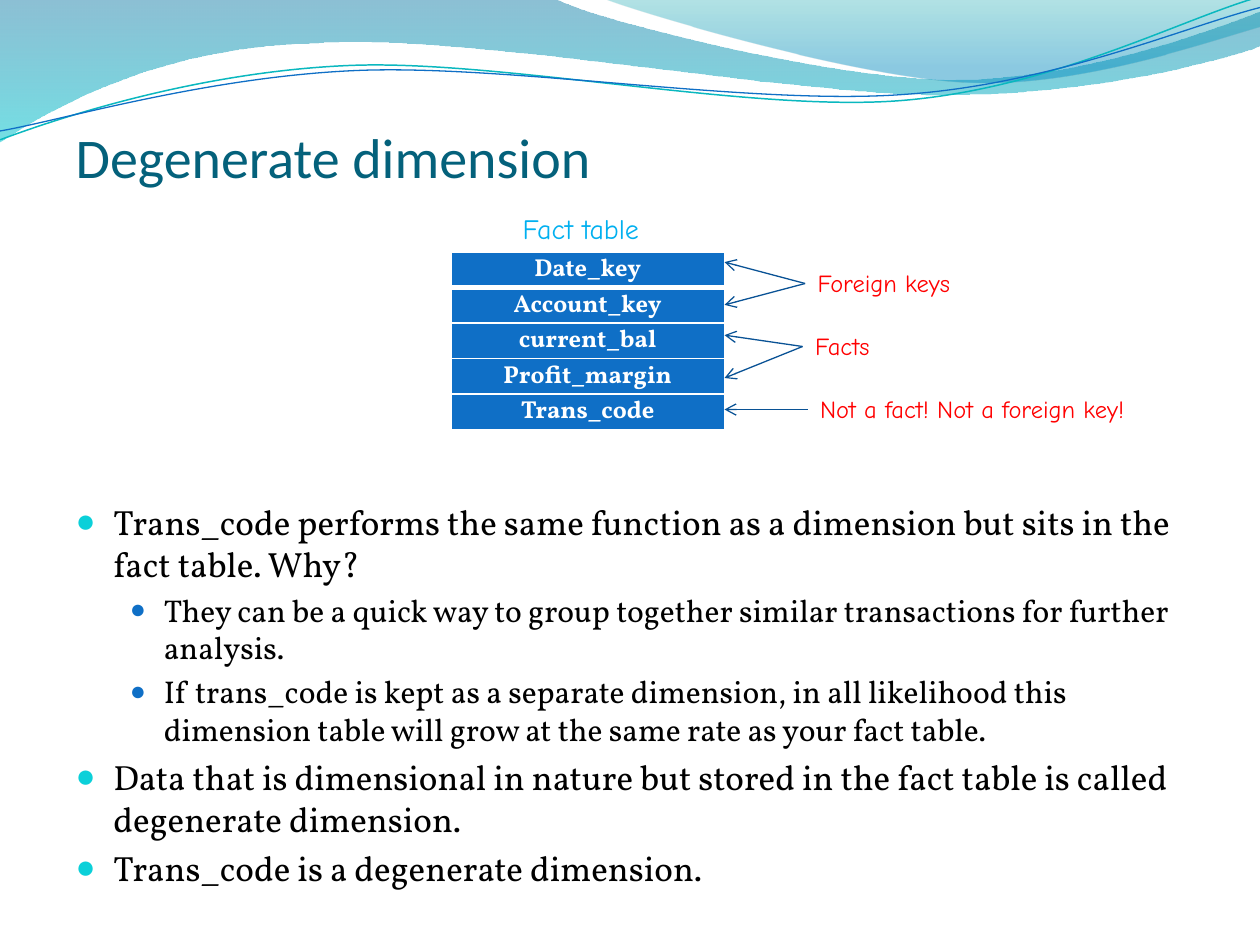
from math import cos, radians, sin

from lxml.etree import SubElement
from pptx import Presentation
from pptx.dml.color import RGBColor
from pptx.enum.text import MSO_ANCHOR, MSO_AUTO_SIZE, PP_ALIGN
from pptx.oxml.ns import qn
from pptx.util import Inches, Pt

BLUE = RGBColor(0x0F, 0x6F, 0xC6)
TEAL = RGBColor(0x0A, 0xB8, 0xBF)
CYAN = RGBColor(0x0B, 0xD0, 0xD9)
TITLE_TEAL = RGBColor(0x04, 0x61, 0x7B)
SKY = RGBColor(0x00, 0xB0, 0xF0)
RED = RGBColor(0xFF, 0x00, 0x00)
ARROW_BLUE = RGBColor(0x09, 0x52, 0x95)
WHITE = RGBColor(0xFF, 0xFF, 0xFF)
BLACK = RGBColor(0, 0, 0)
SERIF, HAND = "Vollkorn", "Comic Neue"

TITLE = "Degenerate dimension"
POINTS = [
    (0, "Trans_code performs the same function as a dimension but sits in the fact table. Why?"),
    (1, "They can be a quick way to group together similar transactions for further analysis."),
    (1, "If trans_code is kept as a separate dimension, in all likelihood this dimension table "
        "will grow at the same rate as your fact table."),
    (0, "Data that is dimensional in nature but stored in the fact table is called degenerate dimension."),
    (0, "Trans_code is a degenerate dimension."),
]
LEVELS = [
    dict(size=20, left=0.3, hang=0.3, color=CYAN, percent=95),
    dict(size=18, left=0.7, hang=0.27, color=BLUE, percent=85),
]
FIELDS = ["Date_key", "Account_key", "current_bal", "Profit_margin", "Trans_code"]
TABLE_LEFT, TABLE_TOP, TABLE_WIDTH, ROW_HEIGHT = 3.58, 2, 2.17, 0.27
CAPTION = ("Fact table", 4.05, 1.63, 1.28, 0.37, 16, SKY)
NOTES = [
    ("Foreign keys", 6.39, 2.25, 1.36, [2.08, 2.42]),
    ("Facts", 6.37, 2.75, 0.71, [2.66, 3]),
    ("Not a fact! Not a foreign key!", 6.41, 3.25, 2.92, [3.25]),
]
NOTE_HEIGHT = 0.34

BANDS = [
    ([(0, 0), (4.4, -0.01),
      (4.76, 0.17, 6.64, 0.63, 7.58, 0.63), (8.53, 0.63, 9.58, 0.26, 10, 0.09), (10.01, 0.36),
      (9.83, 0.44, 8.7, 0.76, 7.46, 0.75), (6.22, 0.75, 3.82, 0.28, 2.57, 0.34),
      (1.29, 0.36, 0.46, 0.83, -0.01, 1.13)],
     [(0, RGBColor(0x00, 0x74, 0xA1), 45), (1, RGBColor(0x00, 0xC6, 0xCF), 55)]),
    ([(4.79, -0.01), (5.09, 0.11, 6.82, 0.62, 7.69, 0.65),
      (8.56, 0.69, 9.61, 0.32, 10, 0.21), (10, 0)],
     [(0, RGBColor(0x00, 0xA1, 0xA9), 30), (0.8, RGBColor(0x00, 0x8B, 0xBF), 45)]),
]
WAVES = [
    ([(0, 1.11), (0.48, 0.93, 1.58, 0.57, 2.77, 0.52), (3.95, 0.47, 5.93, 0.89, 7.13, 0.8),
      (8.33, 0.71, 9.38, 0.15, 9.98, -0.02)], (4.99, 0.58), TEAL, 0.85),
    ([(0, 1.04), (0.47, 0.96, 1.64, 0.61, 2.83, 0.56), (4.03, 0.51, 5.97, 0.84, 7.17, 0.75),
      (8.36, 0.67, 9.41, 0.21, 10, 0.06)], (5, 0.59), BLUE, 0.75),
]
WAVE_TILT = 2.7


def style(paragraph, size, font, color, bold=False):
    for run in paragraph.runs:
        run.font.size, run.font.name, run.font.bold = Pt(size), font, bold
        run.font.color.rgb = color


def place(shape, *box):
    shape.left, shape.top, shape.width, shape.height = map(Inches, box)


def pairs(segment):
    return list(zip(segment[::2], segment[1::2]))


def level_out(segments, center):
    c, s = cos(radians(WAVE_TILT)), sin(radians(WAVE_TILT))
    cx, cy = center
    return [
        tuple(value for x, y in pairs(segment) for value in
              (cx + (x - cx) * c - (y - cy) * s, cy + (x - cx) * s + (y - cy) * c))
        for segment in segments]


def add_outline(shapes, segments, close):
    first, *anchors = [tuple(map(Inches, segment[-2:])) for segment in segments]
    builder = shapes.build_freeform(*first)
    builder.add_line_segments(anchors, close=close)
    outline = builder.convert_to_shape()
    outline.shadow.inherit = False
    steps = list(outline._element.spPr.iter(qn("a:lnTo")))
    for step, segment in zip(steps, segments[1:]):
        if len(segment) == 6:
            step.tag = qn("a:cubicBezTo")
            for point in list(step):
                step.remove(point)
            for x, y in pairs(segment):
                SubElement(step, qn("a:pt"), x=str(Inches(x) - outline.left),
                           y=str(Inches(y) - outline.top))
    return outline


def add_label(text, left, top, width, height, size, color):
    label = slide.shapes.add_textbox(*map(Inches, (left, top, width, height)))
    label.text_frame.text = text
    label.text_frame.word_wrap = False
    label.text_frame.auto_size = MSO_AUTO_SIZE.SHAPE_TO_FIT_TEXT
    style(label.text_frame.paragraphs[0], size, HAND, color)


def add_arrow(*ends):
    arrow = slide.shapes.add_connector(1, *map(Inches, ends))
    arrow.line.color.rgb, arrow.line.width = ARROW_BLUE, Pt(0.75)
    SubElement(arrow.line._get_or_add_ln(), qn("a:tailEnd"), type="arrow")
    SubElement(arrow._element.spPr, qn("a:effectLst"))


def add_border(cell, side, width):
    border = SubElement(cell._tc.get_or_add_tcPr(), qn("a:" + side), w=str(Pt(width)))
    fill = SubElement(border, qn("a:solidFill"))
    SubElement(fill, qn("a:srgbClr"), val=str(WHITE))


def add_bullet(paragraph, level):
    pPr = paragraph._p.get_or_add_pPr()
    pPr.set("marL", str(Inches(level["left"])))
    pPr.set("indent", str(-Inches(level["hang"])))
    color = SubElement(pPr, qn("a:buClr"))
    SubElement(color, qn("a:srgbClr"), val=str(level["color"]))
    SubElement(pPr, qn("a:buSzPct"), val=str(level["percent"] * 1000))
    SubElement(pPr, qn("a:buChar"), char="●")


deck = Presentation()
deck.slide_width, deck.slide_height = Inches(10), Inches(7.5)
slide = deck.slides.add_slide(deck.slide_layouts[1])
title, body = slide.placeholders

for segments, stops in BANDS:
    band = add_outline(slide.shapes, segments, True)
    band.line.fill.background()
    band.fill.gradient()
    band.fill.gradient_angle = 270
    for stop, (position, color, _) in zip(band.fill.gradient_stops, stops):
        stop.position, stop.color.rgb = position, color
    for color, (_, _, opacity) in zip(band._element.spPr.iter(qn("a:srgbClr")), stops):
        SubElement(color, qn("a:alpha"), val=str(opacity * 1000))

wave_group = slide.shapes.add_group_shape()
for segments, center, color, width in WAVES:
    wave = add_outline(wave_group.shapes, level_out(segments, center), False)
    wave.rotation = 360 - WAVE_TILT
    wave.fill.background()
    wave.line.color.rgb, wave.line.width = color, Pt(width)

for placeholder in (title, body):
    slide.shapes._spTree.append(placeholder._element)
    placeholder.text_frame.word_wrap = True
    placeholder.text_frame.auto_size = MSO_AUTO_SIZE.NONE
    placeholder.text_frame.vertical_anchor = MSO_ANCHOR.TOP

place(title, 0.5, 0.92, 9, 1.25)
title.text_frame.text = TITLE
title.text_frame.paragraphs[0].alignment = PP_ALIGN.LEFT
style(title.text_frame.paragraphs[0], 32, "Calibri", TITLE_TEAL)

place(body, 0.5, 3.92, 9, 3.33)
body.text_frame.text = "\n".join(text for _, text in POINTS)
for paragraph, (depth, _) in zip(body.text_frame.paragraphs, POINTS):
    level = LEVELS[depth]
    paragraph.level = depth
    paragraph.space_before = Pt(level["size"] * 0.2)
    add_bullet(paragraph, level)
    style(paragraph, level["size"], SERIF, BLACK)

fact_table = slide.shapes.add_table(
    len(FIELDS), 1, *map(Inches, (TABLE_LEFT, TABLE_TOP, TABLE_WIDTH, ROW_HEIGHT * len(FIELDS)))).table
fact_table.first_row = fact_table.horz_banding = False
for row, field in enumerate(FIELDS):
    cell = fact_table.cell(row, 0)
    cell.text_frame.text = field
    cell.margin_left = cell.margin_right = cell.margin_top = Inches(0.01)
    cell.margin_bottom = 0
    cell.vertical_anchor = MSO_ANCHOR.MIDDLE
    cell.text_frame.paragraphs[0].alignment = PP_ALIGN.CENTER
    style(cell.text_frame.paragraphs[0], 14, SERIF, WHITE, True)
    for side in ("lnL", "lnR", "lnT", "lnB"):
        add_border(cell, side, 3 if (row, side) in ((0, "lnB"), (1, "lnT")) else 1)
    cell.fill.solid()
    cell.fill.fore_color.rgb = BLUE

add_label(*CAPTION)
for text, left, middle, width, targets in NOTES:
    add_label(text, left, middle - NOTE_HEIGHT / 2, width, NOTE_HEIGHT, 14, RED)
    for target in targets:
        add_arrow(left, middle, TABLE_LEFT + TABLE_WIDTH, target)

deck.save("out.pptx")
